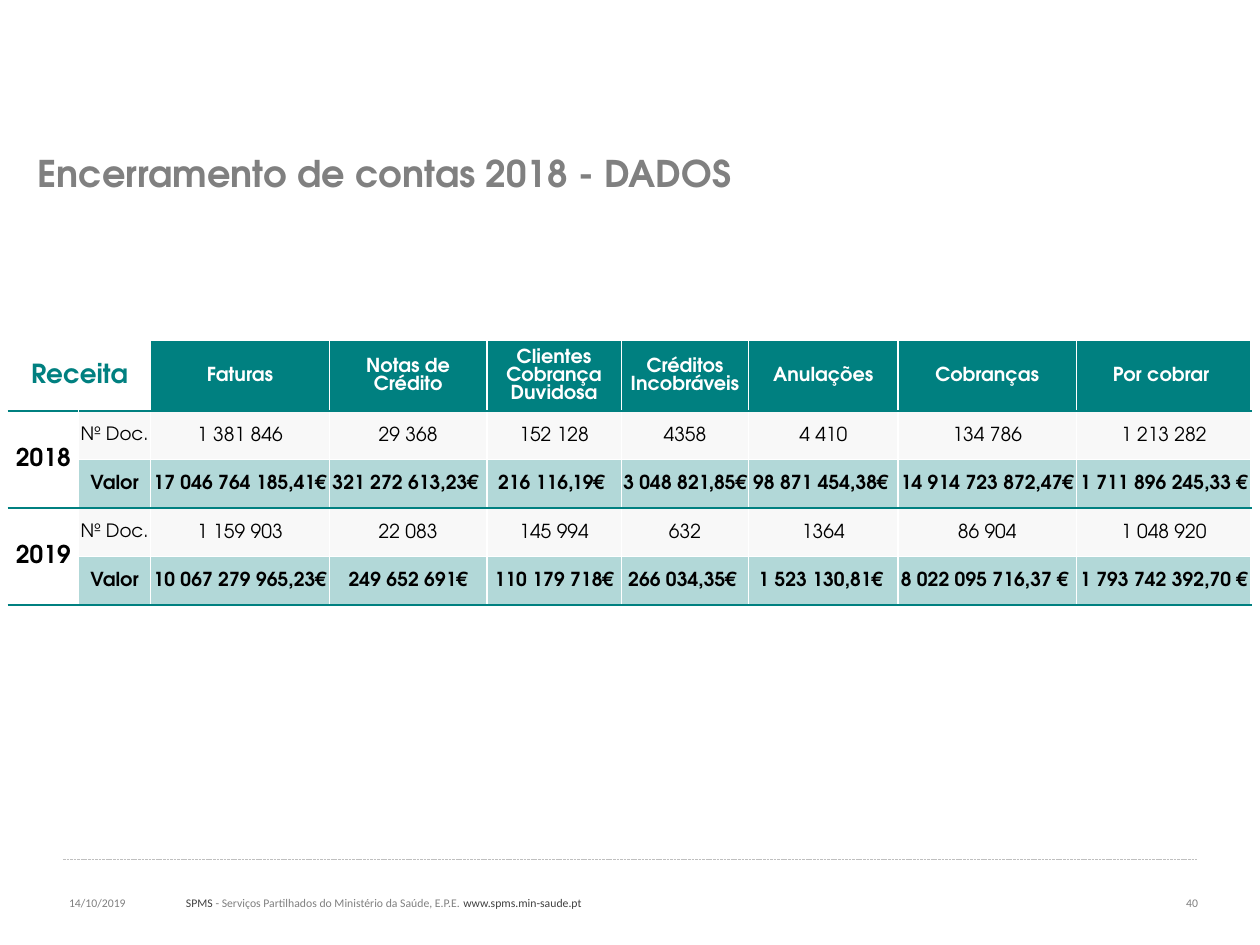
from lxml.etree import SubElement
from pptx import Presentation
from pptx.dml.color import RGBColor
from pptx.enum.dml import MSO_LINE
from pptx.enum.shapes import MSO_CONNECTOR
from pptx.enum.text import MSO_ANCHOR, PP_ALIGN
from pptx.oxml.ns import qn
from pptx.util import Pt

TEAL = RGBColor(0x00, 0x80, 0x80)
WHITE = RGBColor(0xFF, 0xFF, 0xFF)
BLACK = RGBColor(0x00, 0x00, 0x00)
PALE = RGBColor(0xF8, 0xF8, 0xF8)
GREY = RGBColor(0x80, 0x80, 0x80)
DARK = RGBColor(0x40, 0x40, 0x40)
RULE = RGBColor(0xBF, 0xBF, 0xBF)
HEADING_FONT = "TeX Gyre Adventor"
FOOTER_FONT = "Calibri"
FOOTER_SIZE = 6.7


def add_run(paragraph, text, font_name, size, color, bold=False):
    run = paragraph.add_run()
    run.text = text
    for name, value in {"name": font_name, "size": Pt(size), "bold": bold}.items():
        setattr(run.font, name, value)
    run.font.color.rgb = color


def add_border(cell, side, color):
    """Draw a 1 pt border; sides must come in the order L, R, T, B."""
    properties = cell._tc.get_or_add_tcPr()
    line = SubElement(properties, qn(f"a:ln{side}"), w=str(Pt(1)))
    fill = SubElement(line, qn("a:solidFill"))
    SubElement(fill, qn("a:srgbClr"), val=str(color))


presentation = Presentation()
presentation.slide_width, presentation.slide_height = Pt(720), Pt(540)
slide = presentation.slides.add_slide(presentation.slide_layouts[6])

# Footer rule
footer_rule = slide.shapes.add_connector(
    MSO_CONNECTOR.STRAIGHT, Pt(36), Pt(491), Pt(684), Pt(491))
footer_rule.line.color.rgb = RULE
footer_rule.line.width = Pt(0.5)
footer_rule.line.dash_style = MSO_LINE.SQUARE_DOT
SubElement(footer_rule._element.spPr, qn("a:effectLst"))

# Footer and title: left, top, width, height, alignment, runs
footer = [
    ("SPMS", FOOTER_FONT, FOOTER_SIZE, DARK),
    (" - Serviços Partilhados do Ministério da Saúde, E.P.E. ",
     FOOTER_FONT, FOOTER_SIZE, GREY),
    ("www.spms.min-saude.pt", FOOTER_FONT, FOOTER_SIZE, DARK),
]
date = [("14/10/2019", FOOTER_FONT, FOOTER_SIZE, GREY)]
page_number = [("40", FOOTER_FONT, FOOTER_SIZE, GREY)]
title = [("Encerramento de contas 2018 - DADOS", HEADING_FONT, 21, GREY, True)]
text_boxes = [
    (99.2, 508.3, 556, 28, PP_ALIGN.LEFT, footer),
    (32.4, 508.3, 67, 28, PP_ALIGN.LEFT, date),
    (660, 508.3, 31.7, 28, PP_ALIGN.RIGHT, page_number),
    (14.4, 82.8, 453.6, 32.4, PP_ALIGN.LEFT, title),
]
for left, top, width, height, alignment, runs in text_boxes:
    box = slide.shapes.add_textbox(Pt(left), Pt(top), Pt(width), Pt(height))
    box.text_frame.word_wrap = True
    paragraph = box.text_frame.paragraphs[0]
    paragraph.alignment = alignment
    for run in runs:
        add_run(paragraph, *run)

# Revenue table
rows = [
    ["Receita", "", "Faturas", "Notas de Crédito", "Clientes Cobrança Duvidosa",
     "Créditos Incobráveis", "Anulações", "Cobranças", "Por cobrar "],
    ["2018", "Nº Doc.", "1 381 846", "29 368", "152 128", "4358", "4 410",
     "134 786", "1 213 282"],
    ["", "Valor", "17 046 764 185,41€ ", "321 272 613,23€ ", "216 116,19€ ",
     "3 048 821,85€ ", "98 871 454,38€ ", "14 914 723 872,47€ ", "1 711 896 245,33 € "],
    ["2019", "Nº Doc.", "1 159 903", "22 083", "145 994", "632", "1364",
     "86 904", "1 048 920"],
    ["", "Valor", "10 067 279 965,23€ ", "249 652 691€", "110 179 718€",
     "266 034,35€ ", "1 523 130,81€ ", "8 022 095 716,37 € ", "1 793 742 392,70 € "],
]
column_widths = [40.1, 41.2, 102.2, 90, 76.8, 72.8, 85.3, 102.1, 99.8]
row_heights = [40.2, 27.7, 27.7, 27.7, 27.7]
table = slide.shapes.add_table(
    len(rows), len(column_widths), Pt(4.8), Pt(194.6),
    Pt(sum(column_widths)), Pt(sum(row_heights))).table
table.first_row = table.horz_banding = False
for column, width in zip(table.columns, column_widths):
    column.width = Pt(width)
for row, height in zip(table.rows, row_heights):
    row.height = Pt(height)
table.cell(0, 0).merge(table.cell(0, 1))
for year_row in (1, 3):
    table.cell(year_row, 0).merge(table.cell(year_row + 1, 0))

cell_format = {
    "vertical_anchor": MSO_ANCHOR.MIDDLE,
    "margin_left": Pt(0.7), "margin_right": Pt(0.7),
    "margin_top": Pt(0.7), "margin_bottom": Pt(0),
}
for row_index, texts in enumerate(rows):
    is_header = row_index == 0
    is_value_row = row_index in (2, 4)
    for column_index, text in enumerate(texts):
        cell = table.cell(row_index, column_index)
        is_first = column_index == 0
        for name, value in cell_format.items():
            setattr(cell, name, value)

        closes_group = is_header or is_value_row or is_first
        add_border(cell, "L", WHITE)
        add_border(cell, "R", WHITE)
        add_border(cell, "T", TEAL if row_index in (1, 3) else WHITE)
        add_border(cell, "B", TEAL if closes_group else WHITE)

        if is_header and column_index < 2:
            cell.fill.background()
        else:
            cell.fill.solid()
            if is_first:
                cell.fill.fore_color.rgb = WHITE
            elif is_header or is_value_row:
                cell.fill.fore_color.rgb = TEAL
            else:
                cell.fill.fore_color.rgb = PALE
        if is_value_row and not is_first:
            fill_color = cell._tc.tcPr.find(qn("a:solidFill")).find(qn("a:srgbClr"))
            SubElement(fill_color, qn("a:alpha"), val="30000")

        if not text:
            continue
        if is_first:
            size, color = (15, TEAL) if is_header else (14, BLACK)
        else:
            size = 10.5 if text == "Nº Doc." else 11
            color = WHITE if is_header else BLACK
        paragraph = cell.text_frame.paragraphs[0]
        paragraph.alignment = PP_ALIGN.CENTER
        add_run(paragraph, text, HEADING_FONT, size, color,
                bold=is_header or is_value_row or is_first)

presentation.save("out.pptx")
